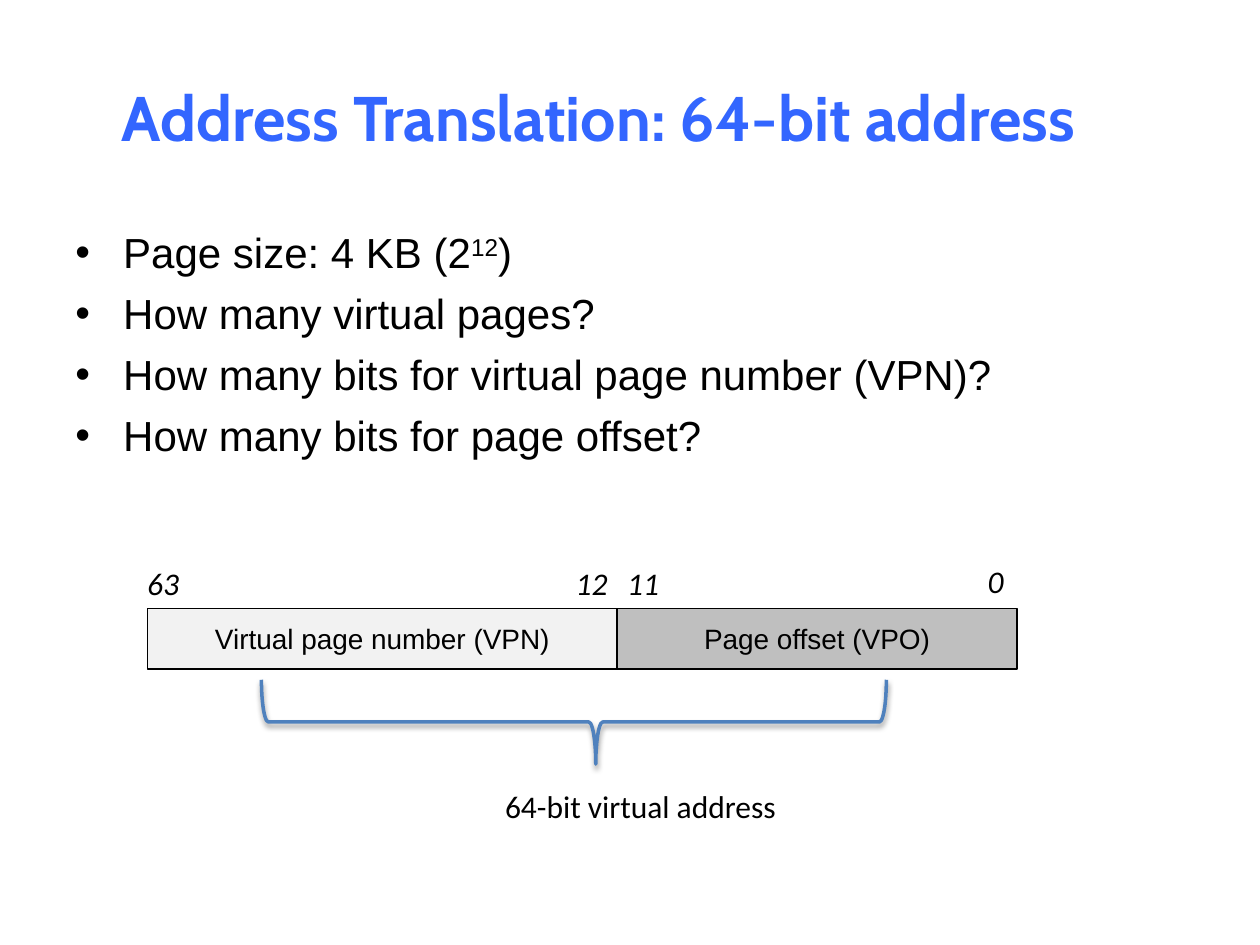
from lxml.etree import SubElement
from pptx import Presentation
from pptx.dml.color import RGBColor
from pptx.enum.shapes import MSO_SHAPE
from pptx.enum.text import MSO_ANCHOR, PP_ALIGN
from pptx.oxml import parse_xml
from pptx.oxml.ns import nsdecls, qn
from pptx.util import Inches, Pt

TITLE = "Address Translation: 64-bit address"
# Each bullet is a list of (text, is superscript) runs
BULLETS = [
    [("Page size: 4 KB (2", False), ("12", True), (")", False)],
    [("How many virtual pages?", False)],
    [("How many bits for virtual page number (VPN)?", False)],
    [("How many bits for page offset?", False)],
]
FIELD_LEFT, FIELD_TOP, FIELD_HEIGHT = 1.17, 4.83, 0.48
FIELDS = [  # text, width, fill
    ("Virtual page number (VPN)", 3.73, "F2F2F2"),
    ("Page offset (VPO)", 3.17, "BFBFBF"),
]
BIT_LABELS = [  # text, left, top, width
    ("63", 1.07, 4.43, 0.63),
    ("12", 4.47, 4.43, 0.63),
    ("11", 4.88, 4.43, 0.63),
    ("0", 7.74, 4.41, 0.47),
]
ADDRESS_LABEL = "64-bit virtual address"
SHADOW = (
    f'<a:effectLst {nsdecls("a")}><a:outerShdw blurRad="{Pt(3.1)}" dist="{Pt(1.6)}" '
    'dir="5400000" rotWithShape="0"><a:srgbClr val="000000"><a:alpha val="38000"/>'
    "</a:srgbClr></a:outerShdw></a:effectLst>"
)


def color(value):
    return RGBColor.from_string(value)


def add_run(paragraph, text, size, name, fill="000000", bold=False, italic=False):
    run = paragraph.add_run()
    run.text = text
    font = run.font
    font.size, font.name, font.bold, font.italic = Pt(size), name, bold, italic
    font.color.rgb = color(fill)
    return run


def add_text_frame(slide, left, top, width, height, wrap=True):
    box = slide.shapes.add_textbox(*map(Inches, (left, top, width, height)))
    box.text_frame.word_wrap = wrap
    return box.text_frame


def add_bullets(slide):
    frame = add_text_frame(slide, 0.5, 1.75, 9, 4.95)
    for index, runs in enumerate(BULLETS):
        paragraph = frame.add_paragraph() if index else frame.paragraphs[0]
        properties = paragraph._p.get_or_add_pPr()
        properties.set("marL", str(Inches(0.38)))
        properties.set("indent", str(Inches(-0.38)))
        SubElement(properties, qn("a:buFont"), typeface="Arial")
        SubElement(properties, qn("a:buChar"), char="•")
        if index:
            paragraph.space_before = Pt(6)
        for text, superscript in runs:
            run = add_run(paragraph, text, 24, "Arial")
            if superscript:
                run.font._element.set("baseline", "30000")


def add_fields(slide):
    left = FIELD_LEFT
    for text, width, fill in FIELDS:
        field = slide.shapes.add_shape(
            MSO_SHAPE.RECTANGLE, *map(Inches, (left, FIELD_TOP, width, FIELD_HEIGHT)))
        field.shadow.inherit = False
        field.fill.solid()
        field.fill.fore_color.rgb = color(fill)
        field.line.color.rgb = color("000000")
        field.line.width = Pt(1)
        field.text_frame.vertical_anchor = MSO_ANCHOR.MIDDLE
        paragraph = field.text_frame.paragraphs[0]
        paragraph.alignment = PP_ALIGN.CENTER
        add_run(paragraph, text, 16, "Arial")
        left += width


def add_brace(slide):
    brace = slide.shapes.add_shape(
        MSO_SHAPE.LEFT_BRACE, *map(Inches, (4.22, 3.25, 0.67, 4.96)))
    brace.rotation = 270
    brace.adjustments[0], brace.adjustments[1] = 0.083, 0.535
    brace.fill.background()
    brace.line.color.rgb = color("4F81BD")
    brace.line.width = Pt(2)
    brace._element.spPr.append(parse_xml(SHADOW))


def main():
    presentation = Presentation()
    presentation.slide_width, presentation.slide_height = Inches(10), Inches(7.5)
    slide = presentation.slides.add_slide(presentation.slide_layouts[6])

    title = add_text_frame(slide, 0, 0.3, 9.5, 1.25)
    title.vertical_anchor = MSO_ANCHOR.MIDDLE
    title.paragraphs[0].alignment = PP_ALIGN.CENTER
    add_run(title.paragraphs[0], TITLE, 36, "Cabin", "3366FF", bold=True)

    add_bullets(slide)
    add_fields(slide)
    for text, left, top, width in BIT_LABELS:
        label = add_text_frame(slide, left, top, width, 0.4)
        add_run(label.paragraphs[0], text, 18, "Calibri", italic=True)
    add_brace(slide)
    address = add_text_frame(slide, 3.91, 6.2, 2.38, 0.4, wrap=False)
    add_run(address.paragraphs[0], ADDRESS_LABEL, 18, "Calibri")

    presentation.save("out.pptx")


if __name__ == "__main__":
    main()
